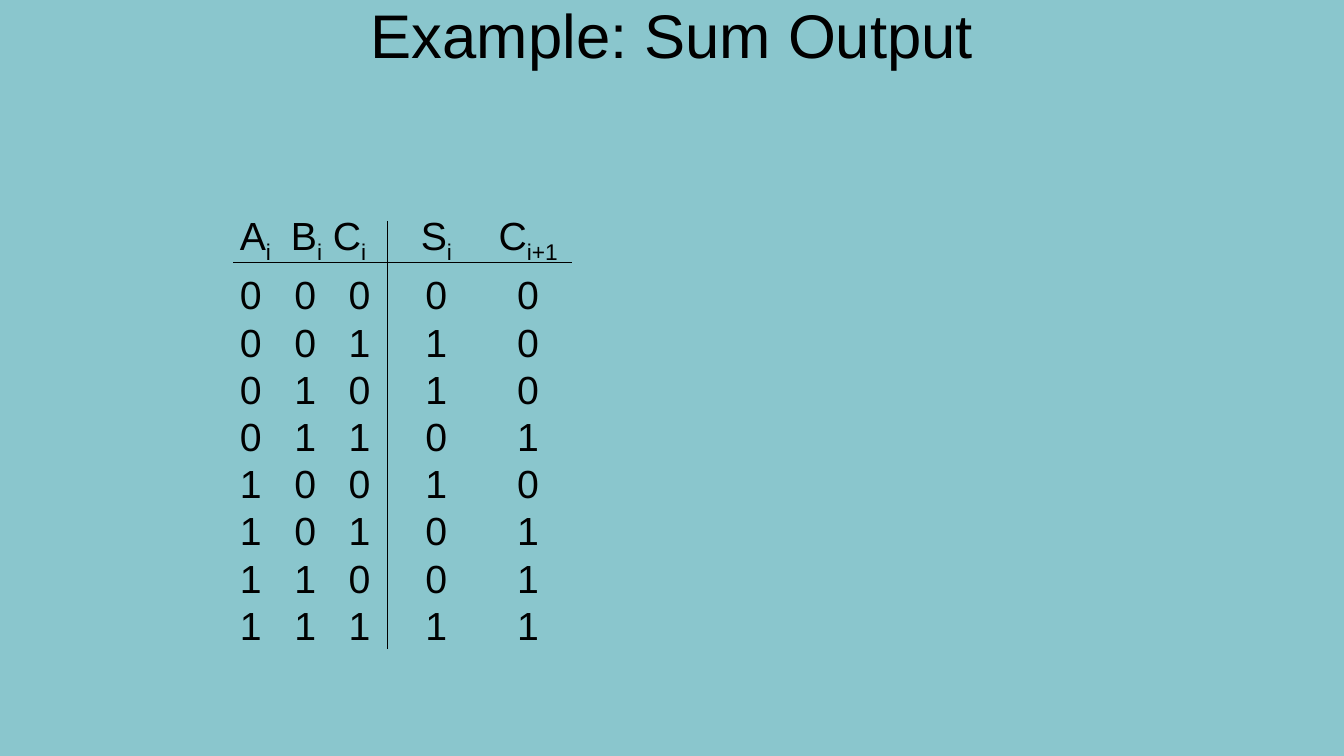
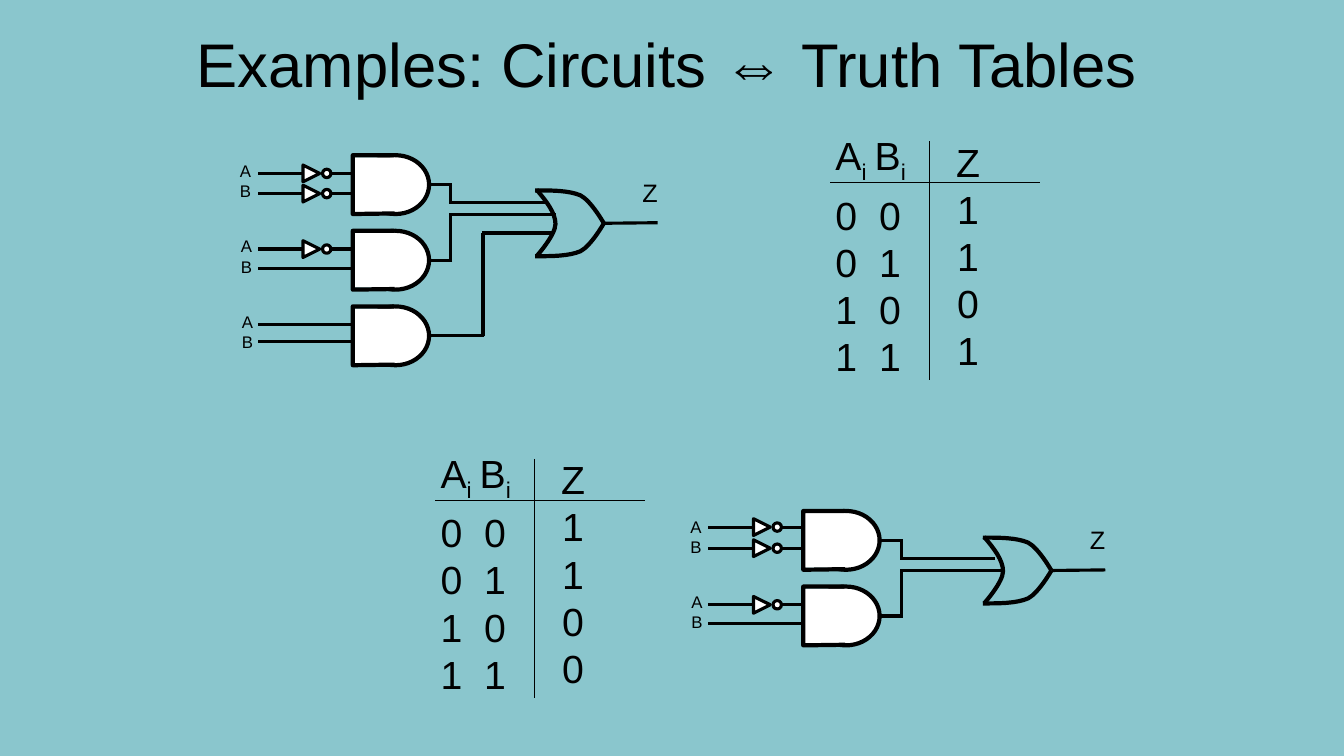
from lxml import etree
from pptx import Presentation
from pptx.dml.color import RGBColor
from pptx.enum.shapes import MSO_CONNECTOR, MSO_SHAPE
from pptx.enum.text import MSO_ANCHOR, PP_ALIGN
from pptx.oxml.ns import qn
from pptx.util import Pt

STRAIGHT = MSO_CONNECTOR.STRAIGHT
TRIANGLE = MSO_SHAPE.ISOSCELES_TRIANGLE
CIRCLE, RECTANGLE = MSO_SHAPE.OVAL, MSO_SHAPE.RECTANGLE
LEFT, CENTER = PP_ALIGN.LEFT, PP_ALIGN.CENTER
MIDDLE = MSO_ANCHOR.MIDDLE

BLACK = RGBColor(0x00, 0x00, 0x00)
WHITE = RGBColor(0xFF, 0xFF, 0xFF)
TEAL = RGBColor(0x8A, 0xC6, 0xCD)

FONT = "Arial"
TITLE_SIZE, TABLE_SIZE, OUTPUT_SIZE, INPUT_SIZE = 44, 28, 18, 12
RULE, WIRE, OUTLINE = 0.75, 2.25, 3
TITLE_ONLY = 5

ROW_PITCH, HEADER_GAP = 33.7, 4.1
INSET = 3.6

GATE_HEIGHT, GATE_PITCH, GATE_OUTPUT = 42, 54, 54
OR_HEIGHT = 47
OR_TIP = (49, 23.5)
OR_TOP = [(0, 0), (12, 0), (24, 0), (32.4, 3.6), (40, 7.6), OR_TIP, OR_TIP]
OR_BOTTOM = [(x, OR_HEIGHT - y) for x, y in OR_TOP]
OR_BACK = [(1, -0.5), (7.8, 7.5), (14.5, 16), (14.5, 24), (14.5, 32), (1, 47), (1, 47)]
# For each gate: bend from the gates' left, height below their top, end from the OR gate's left
ROUTES = [(70, 34, 9), (70, 42.5, 15), (93, 55.5, 13)]


class Painter:
    """Holds the deck's style and the slide being drawn."""

    def __init__(self):
        self.deck = Presentation()
        self.deck.slide_width, self.deck.slide_height = Pt(960), Pt(540)
        fill = self.deck.slide_master.background.fill
        fill.solid()
        fill.fore_color.rgb = TEAL
        self.page = None

    def new_page(self, title, left, top, width, height):
        self.page = self.deck.slides.add_slide(self.deck.slide_layouts[TITLE_ONLY])
        box = self.page.shapes.title
        box.left, box.top, box.width, box.height = map(Pt, (left, top, width, height))
        box.text_frame.vertical_anchor = MIDDLE
        para = box.text_frame.paragraphs[0]
        para.text = title
        self.style(para, TITLE_SIZE, CENTER)

    def style(self, para, size, align=LEFT):
        para.alignment = align
        para.font.name = FONT
        para.font.size = Pt(size)
        para.font.color.rgb = BLACK

    def text_frame(self, left, top, width, height, wrap=False):
        box = self.page.shapes.add_textbox(*map(Pt, (left, top, width, height)))
        box.text_frame.word_wrap = wrap
        return box.text_frame

    def label(self, text, left, top, width, height, size):
        frame = self.text_frame(left, top, width, height)
        frame.text = text
        for para in frame.paragraphs:
            self.style(para, size)

    def line(self, start, end, weight=WIRE):
        line = self.page.shapes.add_connector(STRAIGHT, *map(Pt, (*start, *end)))
        line.line.color.rgb = BLACK
        line.line.width = Pt(weight)
        etree.SubElement(line._element.spPr, qn("a:effectLst"))

    def outline(self, shape, weight):
        shape.shadow.inherit = False
        shape.line.color.rgb = BLACK
        shape.line.width = Pt(weight)

    def shape(self, kind, left, top, width, height, weight=WIRE):
        shape = self.page.shapes.add_shape(kind, *map(Pt, (left, top, width, height)))
        self.outline(shape, weight)
        shape.fill.solid()
        shape.fill.fore_color.rgb = WHITE
        return shape

    def stroke(self, left, top, points, curved=False):
        """An open outline; if curved, the points after the first are Bezier triples."""
        places = [(Pt(left + x), Pt(top + y)) for x, y in points]
        builder = self.page.shapes.build_freeform(*places[0])
        builder.add_line_segments(places[1:], close=False)
        shape = builder.convert_to_shape()
        shape.fill.background()
        self.outline(shape, OUTLINE)
        if curved:
            segments = list(shape._element.iter(qn("a:lnTo")))
            for first in range(0, len(segments), 3):
                bezier = segments[first]
                bezier.tag = qn("a:cubicBezTo")
                for extra in segments[first + 1:first + 3]:
                    bezier.append(extra[0])
                    extra.getparent().remove(extra)

    def column_text(self, left, top, width, header, rows, header_tabs=(), row_tabs=()):
        """Rows under a header of (name, subscript) pairs, set at tab stops."""
        height = 2 * INSET + ROW_PITCH * (len(rows) + 1)
        frame = self.text_frame(left, top, width, height, wrap=bool(row_tabs))
        lines = [header] + [[(digit, "") for digit in row] for row in rows]
        for index, entries in enumerate(lines):
            para = frame.add_paragraph() if index else frame.paragraphs[0]
            self.add_tabs(para, row_tabs if index else header_tabs)
            para.line_spacing = Pt(ROW_PITCH)
            for position, (name, subscript) in enumerate(entries):
                para.add_run().text = "\t" + name if position else name
                if subscript:
                    span = para.add_run()
                    span.text = subscript
                    span.font._element.set("baseline", "-25000")
                    para.space_after = Pt(HEADER_GAP)
            self.style(para, TABLE_SIZE, LEFT if row_tabs else CENTER)

    def add_tabs(self, para, stops):
        if stops:
            tabs = etree.SubElement(para._p.get_or_add_pPr(), qn("a:tabLst"))
            for stop in stops:
                etree.SubElement(tabs, qn("a:tab"), pos=str(Pt(stop)), algn="l")

    def table_rules(self, left, top, width, height, divider):
        level = top + 29.5
        self.line((left + width, level), (left, level), RULE)
        self.line((left + divider, top), (left + divider, top + height), RULE)

    def two_input_table(self, left, top, outputs):
        self.column_text(left, top, 68.4, [("A", "i"), ("B", "i")],
                         ["00", "01", "10", "11"], [28], [31.1])
        self.column_text(left + 85.9, top, 31.7, [("Z", "")], outputs)
        self.table_rules(left + 2.9, top + 6, 150, 170.6, 71.2)

    def and_gate(self, left, top, inverted, drops):
        """An AND gate with inputs A and B; those named in inverted pass a NOT gate."""
        for name, drop in zip("AB", drops):
            level = top + drop
            start, end = (left - 68, level), (left + 2, level)
            if name in inverted:
                self.shape(TRIANGLE, left - 35.6, level - 6, 12, 12).rotation = 90
                self.line((left - 35.6, level), start)
                self.line(end, (left - 16, level))
                self.shape(CIRCLE, left - 21.6, level - 3, 6, 6)
            else:
                self.line(end, start)
        self.shape(CIRCLE, left + 6.5, top, 48, GATE_HEIGHT, OUTLINE)
        body = self.shape(RECTANGLE, left, top + 1.5, 30, 39)
        body.line.fill.background()
        self.stroke(left, top, [(29.5, 0), (0, 0), (0, GATE_HEIGHT), (30, GATE_HEIGHT - 0.4)])

    def circuit(self, left, top, or_left, or_top, gates):
        """AND gates, given by inverted inputs and input heights, feeding one OR gate."""
        for index, ((inverted, *drops), route) in enumerate(zip(gates, ROUTES)):
            gate_top = top + index * GATE_PITCH
            bend, level, reach = left + route[0], top + route[1], or_left + route[2]
            middle = gate_top + GATE_HEIGHT / 2
            self.line((bend + 1, middle), (left + GATE_OUTPUT, middle))
            self.line((bend, middle), (bend, level))
            self.line((reach, level), (bend - 1, level))
            self.and_gate(left, gate_top, inverted, drops)
            self.label("A\nB", left - 87.8 + 0.7 * index, gate_top + 0.3, 22.3, 36, INPUT_SIZE)
        for points in (OR_TOP, OR_BOTTOM, OR_BACK):
            self.stroke(or_left, or_top, points, curved=True)
        tip_x, tip_y = or_left + OR_TIP[0], or_top + OR_TIP[1]
        self.line((tip_x + 38.5, tip_y - 0.4), (tip_x, tip_y))
        self.label("Z", or_left + 69.5, or_top - 13, 25.9, 28.8, OUTPUT_SIZE)


def main():
    painter = Painter()

    painter.new_page("Example: Sum Output", 132.5, -10.8, 695.5, 70.6)
    painter.column_text(164.2, 152, 108.7, [("A", "i"), ("B", "i"), ("C", "i")],
                        ["000", "001", "010", "011", "100", "101", "110", "111"],
                        [36.5, 66.5], [38.9, 77.8])
    painter.column_text(293, 152, 37.4, [("S", "i")], "01101001")
    painter.column_text(347, 152, 60.5, [("C", "i+1")], "00010111")
    painter.table_rules(166.3, 157.7, 242, 306, 110.2)

    painter.new_page("Examples: Circuits ⇔ Truth Tables", 23.8, 0, 905.8, 90)
    painter.two_input_table(589.7, 94.9, "1101")
    painter.circuit(573.8, 365, 702, 384, [("AB", 11.5, 26.6), ("A", 13, 26.6)])
    painter.two_input_table(307.6, 321.8, "1100")
    painter.circuit(252, 110.9, 382.3, 136,
                    [("AB", 13, 27.4), ("A", 13, 26.6), ("", 13, 25)])

    painter.deck.save("out.pptx")


if __name__ == "__main__":
    main()
